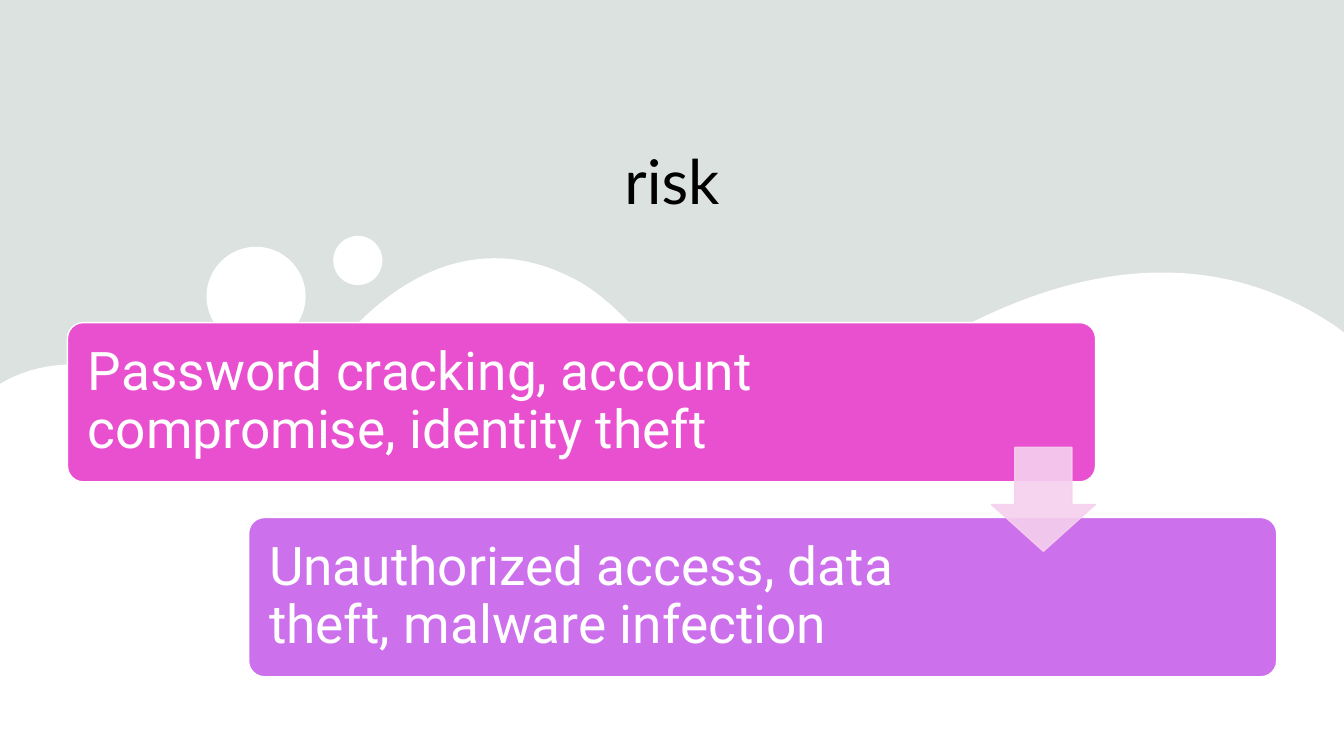
from dataclasses import dataclass

from lxml.etree import SubElement
from pptx import Presentation
from pptx.dml.color import RGBColor
from pptx.enum.shapes import MSO_SHAPE as SHAPE
from pptx.enum.text import MSO_ANCHOR as ANCHOR, PP_ALIGN as ALIGN
from pptx.oxml.ns import qn
from pptx.util import Pt

COLORS = {
    "backdrop": "E2E8E5",
    "tint": "AEAEAE",
    "white": "FFFFFF",
    "black": "000000",
    "pink": "E850D0",
    "violet": "CD70EC",
    "arrow": "F6D0EE",
}
WIDTH, HEIGHT = 960, 540
CARD_W, CARD_H = 734.4, 113.8
TEXT_GAP, INSET = 3.1, 11.5
ROUND = 0.55  # control length of a quarter circle, per radius

Point = tuple[float, float]
Segment = tuple[Point, ...]  # one point for a line, three for a curve


@dataclass
class Card:
    left: float
    top: float
    text_width: float
    color: str
    text: str


@dataclass
class Bubble:
    x: float
    y: float
    radius: float


@dataclass
class Outline:
    start: Point
    segments: list[Segment]


CARDS = [
    Card(48.2, 230.4, 616.3, "pink",
         "Password cracking, account compromise, identity theft"),
    Card(177.6, 369.6, 524.2, "violet",
         "Unauthorized access, data theft, malware infection"),
]
BUBBLES = [Bubble(255.6, 186.1, 17.6), Bubble(182.9, 211.7, 35.4)]

HILLS = Outline((WIDTH, HEIGHT), [
    ((0, HEIGHT),),
    ((0, 274.3),),
    ((5, 271.4),),
    ((31.7, 257.8), (59, 258.5), (87.8, 264.2)),
    ((118.8, 270.7), (151.2, 275.8), (182.9, 275.8)),
    ((212.4, 276.5), (232.6, 254.2), (252, 234.7)),
    ((299.5, 185), (354.2, 170.6), (409, 198.7)),
    ((430.6, 209.5), (448.6, 229), (465.1, 247.7)),
    ((509, 297.4), (563, 298.8), (614.2, 272.9)),
    ((650.2, 254.9), (684.7, 232.6), (722.9, 217.4)),
    ((804.2, 184.3), (883.4, 185.8), (953.3, 232.6)),
    ((WIDTH, 237.6),),
])


def rgb(name: str) -> RGBColor:
    return RGBColor.from_string(COLORS[name])


def style(sp, fill: str, line: str | None = None) -> None:
    sp.shadow.inherit = False
    sp.fill.solid()
    sp.fill.fore_color.rgb = rgb(fill)
    if line:
        sp.line.color.rgb = rgb(line)
        sp.line.width = Pt(1)
    else:
        sp.line.fill.background()


def add_box(slide, kind, left: float, top: float, width: float, height: float,
            fill: str, line: str | None = None, opacity: int = 100):
    sp = slide.shapes.add_shape(kind, Pt(left), Pt(top), Pt(width), Pt(height))
    style(sp, fill, line)
    if opacity < 100:
        for color in sp.element.spPr.iter(qn("a:srgbClr")):
            SubElement(color, qn("a:alpha"), val=str(opacity * 1000))
    return sp


def format_run(p, font: str, size: float, color: str) -> None:
    r = p.runs[0]
    r.font.name = font
    r.font.size = Pt(size)
    r.font.color.rgb = rgb(color)


def circle(bubble: Bubble) -> Outline:
    def at(dx: float, dy: float) -> Point:
        return bubble.x + dx * bubble.radius, bubble.y + dy * bubble.radius

    segments = []
    x, y = 1, 0
    for _ in range(4):
        nx, ny = -y, x
        segments.append((at(x + ROUND * nx, y + ROUND * ny),
                         at(nx + ROUND * x, ny + ROUND * y), at(nx, ny)))
        x, y = nx, ny
    return Outline(at(1, 0), segments)


def add_outlines(slide, outlines: list[Outline], fill: str) -> None:
    def emu(point: Point) -> Point:
        return Pt(point[0]), Pt(point[1])

    builder = slide.shapes.build_freeform(*emu(outlines[0].start))
    for i, outline in enumerate(outlines):
        if i:
            builder.move_to(*emu(outline.start))
        builder.add_line_segments([emu(s[-1]) for s in outline.segments], close=True)
    sp = builder.convert_to_shape()
    style(sp, fill)

    # Turn the sides that have control points into curves
    segments = [s for outline in outlines for s in outline.segments]
    sides = list(sp.element.spPr.iter(qn("a:lnTo")))
    for side, segment in zip(sides, segments):
        if len(segment) == 3:
            curve = side.makeelement(qn("a:cubicBezTo"))
            for x, y in map(emu, segment):
                SubElement(curve, qn("a:pt"), x=str(x - sp.left), y=str(y - sp.top))
            side.getparent().replace(side, curve)


def add_title(slide, text: str) -> None:
    title = slide.shapes.title
    title.left, title.top, title.width, title.height = map(Pt, (48, 44.2, 864, 114))
    tf = title.text_frame
    tf.text = text
    tf.vertical_anchor = ANCHOR.BOTTOM
    p = tf.paragraphs[0]
    p.alignment = ALIGN.CENTER
    format_run(p, "Lato", 44, "black")


def add_card(slide, card: Card) -> None:
    sp = add_box(slide, SHAPE.ROUNDED_RECTANGLE, card.left, card.top,
                 CARD_W, CARD_H, card.color, "white")
    sp.adjustments[0] = 0.1

    label = slide.shapes.add_textbox(
        Pt(card.left + TEXT_GAP), Pt(card.top + TEXT_GAP),
        Pt(card.text_width), Pt(CARD_H - 2 * TEXT_GAP))
    tf = label.text_frame
    tf.word_wrap = True
    tf.vertical_anchor = ANCHOR.MIDDLE
    tf.margin_left = tf.margin_right = Pt(INSET)
    tf.margin_top = tf.margin_bottom = Pt(INSET)
    tf.text = card.text
    p = tf.paragraphs[0]
    p.line_spacing = 0.9
    format_run(p, "Roboto", 38, "white")


def main() -> None:
    prs = Presentation()
    prs.slide_width, prs.slide_height = Pt(WIDTH), Pt(HEIGHT)
    slide = prs.slides.add_slide(prs.slide_layouts[5])

    # Backdrop, tint and hills, kept behind the title
    slide.background.fill.solid()
    slide.background.fill.fore_color.rgb = rgb("backdrop")
    add_box(slide, SHAPE.RECTANGLE, 0, 0, WIDTH, HEIGHT, "tint", opacity=10)
    add_outlines(slide, [HILLS, *map(circle, BUBBLES)], "white")
    slide.shapes.element.append(slide.shapes.title.element)
    add_title(slide, "risk")

    # Two steps joined by an arrow
    for card in CARDS:
        add_card(slide, card)
    arrow = add_box(slide, SHAPE.DOWN_ARROW, 708.2, 319.6, 74.2, 74.2,
                    "arrow", "arrow", opacity=90)
    arrow.adjustments[0], arrow.adjustments[1] = 0.55, 0.45

    prs.save("out.pptx")


if __name__ == "__main__":
    main()
